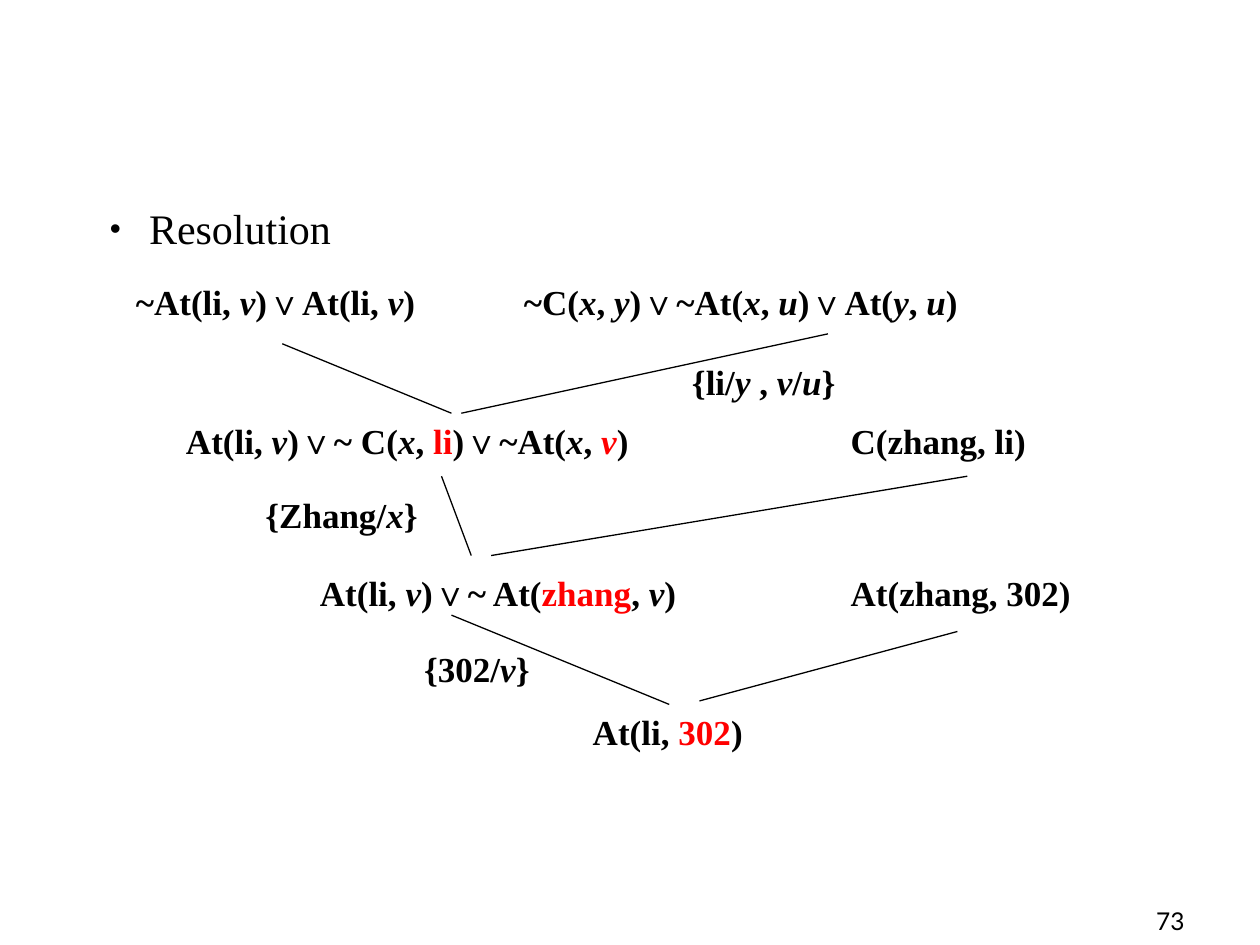
from lxml import etree
from pptx import Presentation
from pptx import util as u
from pptx.dml.color import RGBColor
from pptx.enum import shapes, text
from pptx.oxml import ns

# Content: *...* is italic, ^...^ is red; places in cm (left, top, width)
BULLET = "Resolution"
PAGE_NUMBER = "73"
CLAUSES = [
    ("~At(li, *v*)∨At(li, *v*)", 2.49, 5.54, 6.6),
    ("~C(*x*, *y*)∨~At(*x*, *u*)∨At(*y*, *u*)", 10.31, 5.54, 12.4),
    ("At(li, *v*)∨~ C(*x*, ^li^)∨~At(*x*, *^v^*)", 3.5, 8.33, 11.4),
    ("C(zhang, li)", 16.9, 8.33, 5.4),
    ("At(li, *v*)∨~ At(^zhang^, *v*)", 6.2, 11.4, 7.9),
    ("At(zhang, 302)", 16.9, 11.4, 5.6),
    ("At(li, ^302^)", 11.7, 14.2, 5.4),
]
SUBSTITUTIONS = [
    ("{li/*y* , *v*/*u*}", 13.7, 7.14, 3.8),
    ("{Zhang/*x*}", 5.1, 9.83, 3.8),
    ("{302/*v*}", 8.3, 12.93, 2.8),
]
# Each resolution step joins two parents: (from x, y, to x, y)
STEPS = [
    ((5.69, 6.93, 9.1, 8.33), (16.69, 6.73, 9.3, 8.33)),
    ((8.9, 9.6, 9.5, 11.2), (19.5, 9.6, 9.9, 11.2)),
    ((9.1, 12.4, 13.49, 14.2), (19.3, 12.73, 14.1, 14.13)),
]
SERIF = "Times New Roman"
BLACK, RED = "000000", "FF0000"


def color(value):
    return RGBColor.from_string(value)


def write(paragraph, content, size=20, font=SERIF, bold=True):
    """Fill a paragraph, switching italic at * and red at ^."""
    for i, part in enumerate(content.split("*")):
        for j, piece in enumerate(part.split("^")):
            if not piece:
                continue
            run = paragraph.add_run()
            run.text = piece
            run.font.name = font
            run.font.size = u.Pt(size)
            run.font.bold = bold
            run.font.italic = i % 2 == 1
            run.font.color.rgb = color(RED if j % 2 else BLACK)


def add_text(slide, content, left, top, width, height=1.1,
             align=text.PP_ALIGN.LEFT, **style):
    box = slide.shapes.add_textbox(*map(u.Cm, (left, top, width, height)))
    box.text_frame.word_wrap = True
    paragraph = box.text_frame.paragraphs[0]
    paragraph.alignment = align
    write(paragraph, content, **style)


def add_line(slide, ends):
    line = slide.shapes.add_connector(
        shapes.MSO_CONNECTOR.STRAIGHT, *map(u.Cm, ends))
    line.line.color.rgb = color(BLACK)
    line.line.width = u.Pt(0.75)
    etree.SubElement(line._element.spPr, ns.qn("a:effectLst"))


def fill_body(body):
    body.left, body.top, body.width, body.height = map(
        u.Cm, (0.69, 3.76, 22.4, 1.98))
    paragraph = body.text_frame.paragraphs[0]
    paragraph.level = 1
    paragraph.line_spacing = 1.2
    write(paragraph, BULLET, size=24, bold=False)
    # Bullet and hanging indent
    properties = paragraph._p.get_or_add_pPr()
    properties.set("marL", str(u.Cm(2.06)))
    properties.set("indent", str(u.Cm(-0.79)))
    etree.SubElement(properties, ns.qn("a:buSzPct"), val="75000")
    etree.SubElement(properties, ns.qn("a:buChar"), char="•")


def main():
    presentation = Presentation()
    presentation.slide_width = u.Cm(25.4)
    presentation.slide_height = u.Cm(19.05)
    slide = presentation.slides.add_slide(presentation.slide_layouts[1])

    # Heading: the slide has a bullet but no title
    title = slide.shapes.title._element
    title.getparent().remove(title)
    fill_body(slide.placeholders[1])

    # Resolution tree
    for label in CLAUSES + SUBSTITUTIONS:
        add_text(slide, *label)
    for step in STEPS:
        for ends in step:
            add_line(slide, ends)

    # Page number
    add_text(slide, PAGE_NUMBER, 15.09, 18.14, 9.04, 0.6,
             align=text.PP_ALIGN.RIGHT, size=14, font="Lato", bold=False)

    presentation.save("out.pptx")


if __name__ == "__main__":
    main()
